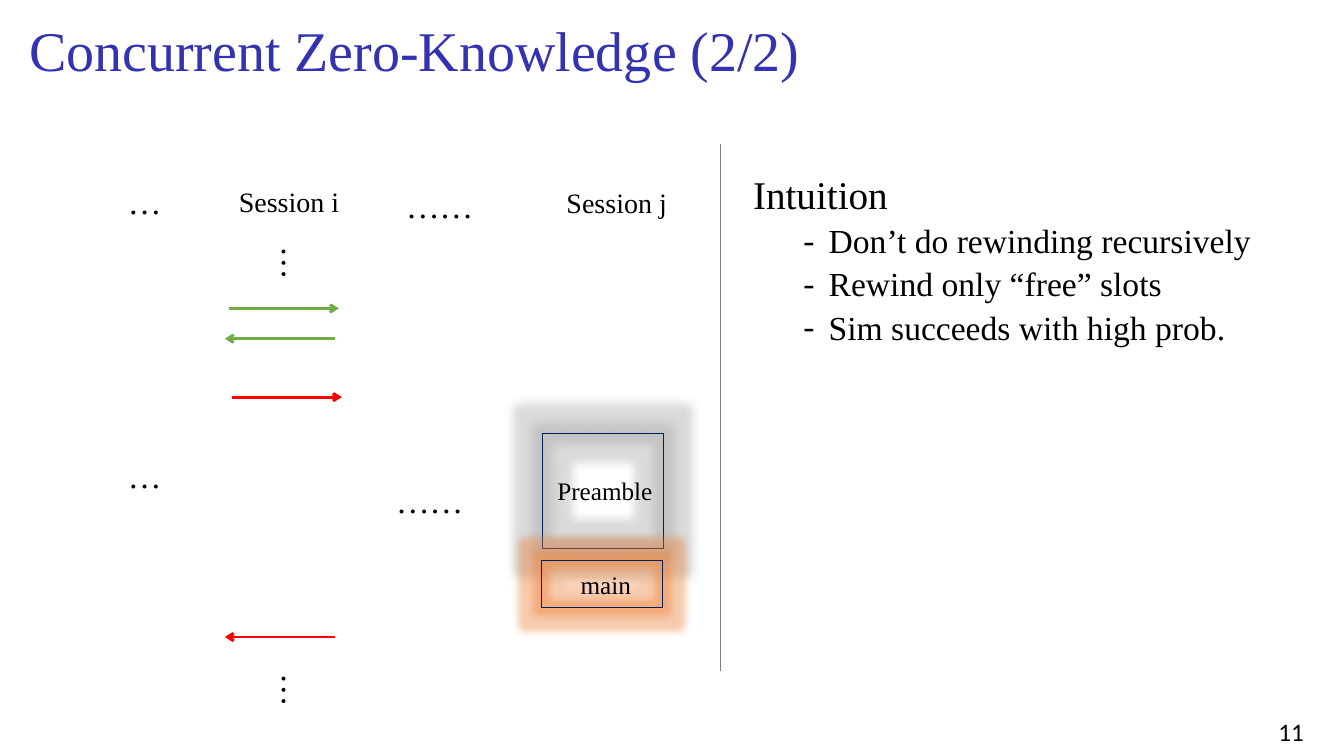
from lxml import etree
from pptx import Presentation
from pptx.dml.color import RGBColor
from pptx.enum.shapes import MSO_CONNECTOR as Connector, MSO_SHAPE as Shape
from pptx.enum.text import MSO_ANCHOR as Anchor
from pptx.oxml.ns import qn
from pptx.util import Inches, Pt

BLACK = RGBColor(0x00, 0x00, 0x00)
TITLE_BLUE = RGBColor(0x33, 0x33, 0xB2)
NAVY = RGBColor(0x00, 0x20, 0x60)
GRAY = RGBColor(0x80, 0x80, 0x80)
GREEN = RGBColor(0x70, 0xAD, 0x47)
RED = RGBColor(0xFF, 0x00, 0x00)
GLOW_GRAY = RGBColor(0xA5, 0xA5, 0xA5)
GLOW_ORANGE = RGBColor(0xED, 0x7D, 0x31)
SERIF = "Times New Roman"

TITLE = "Concurrent Zero-Knowledge (2/2)"
PAGE_NUMBER = "11"
SESSIONS = [("Session i", 2.27, 1.78), ("Session j", 5.52, 1.79)]
DOTS = [("…", 1.17, 1.75), ("…", 1.17, 4.46), ("……", 3.83, 4.71), ("……", 3.93, 1.79)]
VERTICAL_DOTS = [("…", 2.57, 2.35), ("…", 2.57, 6.58)]
STAGES = [
    ((5.38, 4.3, 1.2, 1.14), GLOW_GRAY, 13.8),
    ((5.37, 5.56, 1.2, 0.47), GLOW_ORANGE, 11),
]
STAGE_LABELS = [("Preamble", 5.43, 4.67, 1.16), ("main", 5.66, 5.6, 0.71)]
MESSAGES = [
    (2.27, 3.06, GREEN, "tailEnd"),
    (2.23, 3.36, GREEN, "headEnd"),
    (2.3, 3.94, RED, "tailEnd"),
    (2.23, 6.32, RED, "headEnd"),
]
MESSAGE_LENGTH = 1.09
HEADING = "Intuition"
POINTS = [
    "Don’t do rewinding recursively",
    "Rewind only “free” slots",
    "Sim succeeds with high prob.",
]


def style_run(paragraph, text, size, color=BLACK, font=SERIF):
    run = paragraph.add_run()
    run.text = text
    run.font.size = Pt(size)
    run.font.name = font
    run.font.color.rgb = color


def add_text(slide, text, box, size=24, color=BLACK, font=SERIF, wrap=True,
             anchor=Anchor.TOP, vertical=False):
    shape = slide.shapes.add_textbox(*map(Inches, box))
    frame = shape.text_frame
    frame.word_wrap = wrap
    frame.vertical_anchor = anchor
    if vertical:
        frame._txBody.bodyPr.set("vert", "eaVert")
    style_run(frame.paragraphs[0], text, size, color, font)
    return frame


def add_line(slide, start, end, color, width, arrow=None):
    line = slide.shapes.add_connector(Connector.STRAIGHT, *map(Inches, start + end))
    line.line.color.rgb = color
    line.line.width = Pt(width)
    if arrow:
        etree.SubElement(line.line._get_or_add_ln(), qn("a:" + arrow), type="arrow")
    etree.SubElement(line._element.spPr, qn("a:effectLst"))


def add_stage(slide, box, glow_color, glow_radius):
    shape = slide.shapes.add_shape(Shape.RECTANGLE, *map(Inches, box))
    shape.fill.background()
    shape.line.color.rgb = NAVY
    shape.line.width = Pt(1)
    shape.shadow.inherit = False
    effects = shape._element.spPr.find(qn("a:effectLst"))
    glow = etree.SubElement(effects, qn("a:glow"), rad=str(Pt(glow_radius)))
    color = etree.SubElement(glow, qn("a:srgbClr"), val=str(glow_color))
    etree.SubElement(color, qn("a:alpha"), val="40000")


def add_intuition(slide):
    frame = add_text(slide, HEADING, (7.37, 1.69, 6.05, 2.46), size=28)
    for text in POINTS:
        paragraph = frame.add_paragraph()
        paragraph.level = 1
        style_run(paragraph, text, 24)
        properties = paragraph._p.get_or_add_pPr()
        properties.set("marL", str(Inches(0.75)))
        properties.set("indent", str(Inches(-0.25)))
        etree.SubElement(properties, qn("a:buFont"), typeface=SERIF)
        etree.SubElement(properties, qn("a:buChar"), char="-")
    for paragraph in frame.paragraphs:
        paragraph.line_spacing = 0.9
        paragraph.space_before = Pt(5 if paragraph.level else 10)


def main():
    presentation = Presentation()
    presentation.slide_width = Inches(13.33)
    presentation.slide_height = Inches(7.5)
    slide = presentation.slides.add_slide(presentation.slide_layouts[6])

    add_text(slide, PAGE_NUMBER, (12.58, 7.06, 0.54, 0.4), size=18, font="Calibri")
    add_text(slide, TITLE, (0.19, 0.1, 11.5, 0.77), size=40, color=TITLE_BLUE,
             anchor=Anchor.MIDDLE)
    for text, left, top in SESSIONS:
        add_text(slide, text, (left, top, 1.2, 0.44), size=20, wrap=False)
    for text, left, top in DOTS:
        add_text(slide, text, (left, top, 1.27, 0.5))
    for stage in STAGES:
        add_stage(slide, *stage)
    for text, left, top in VERTICAL_DOTS:
        add_text(slide, text, (left, top, 0.61, 0.5), vertical=True)
    add_intuition(slide)
    add_line(slide, (7.14, 1.43), (7.14, 6.66), GRAY, 0.5)
    for left, top, color, arrow in MESSAGES:
        add_line(slide, (left, top), (left + MESSAGE_LENGTH, top), color, 2, arrow)
    for text, left, top, width in STAGE_LABELS:
        add_text(slide, text, (left, top, width, 0.4), size=18, wrap=False)

    presentation.save("out.pptx")


if __name__ == "__main__":
    main()
